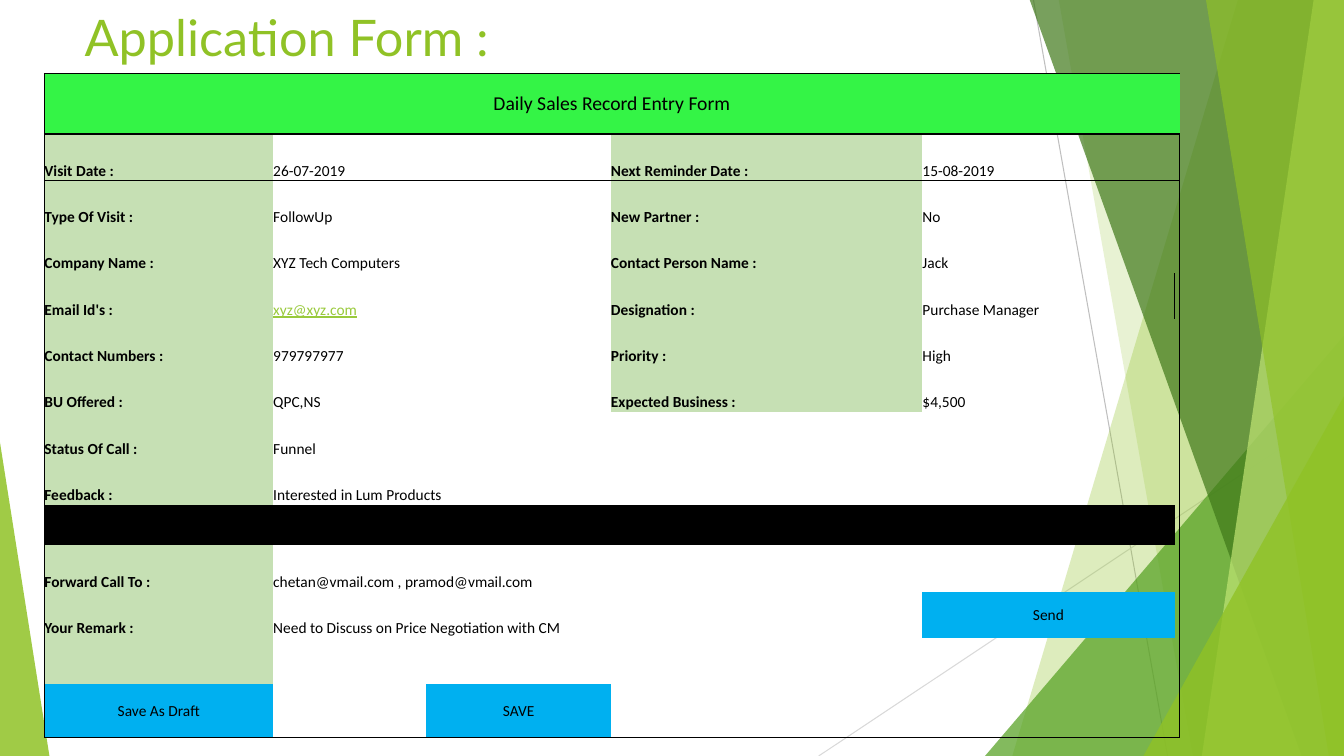
from lxml import etree
from pptx import Presentation
from pptx.dml import color
from pptx.enum import shapes, text
from pptx.oxml import ns
from pptx.util import Inches, Pt

LIME, LABEL_GREEN, BUTTON_BLUE = "90C226", "C6E0B4", "00B0F0"
HEADER_GREEN, BLACK, LINK_GREEN = "34F446", "000000", "99CA3C"
NO_GRID_STYLE = "{2D5ABB26-0587-4C30-8999-92F81FD0307C}"

BACKDROP_LINES = [
    (10.25, 0, 11.58, 7.5, "BFBFBF"),
    (13.33, 4.03, 8.12, 7.5, "D9D9D9"),
]
BACKDROP_SHAPES = [
    ("facet", (12.28, 10.04), LIME, 30),
    ("facet", (10.5, 11.83), LIME, 20),
    ("triangle", (9.77, 3.33, 3.56, 4.17, 1), "54A021", 72),
    ("facet", (10.21, 12.91), "3F7819", 70),
    ("facet", (13.03, 11.92), "C0E474", 70),
    ("facet", (11.96, 13.18), LIME, 65),
    ("triangle", (11.34, 3.93, 1.99, 3.57, 1), LIME, 80),
    ("triangle", (0, 4.39, 0.49, 3.11, 0), LIME, 85),
]

COLUMN_WIDTHS = [2.27, 1.52, 1.83, 3.09, 2.5, 0.05]
ROW_HEIGHTS = [0.6] + [0.46] * 8 + [0.4] + [0.46] * 3 + [0.53]
DIVIDER_ROW, EMAIL_ROW, LAST_ROW, LAST_COLUMN = 9, 4, 13, 5
MERGES = [(0, 0, 5), (3, 1, 2), (4, 1, 2), (8, 1, 2), (10, 1, 3), (11, 1, 3)]
LEFT_FIELDS = {
    1: ("Visit Date :", "26-07-2019"),
    2: ("Type Of Visit :", "FollowUp"),
    3: ("Company Name :", "XYZ Tech Computers"),
    4: ("Email Id's :", "xyz@xyz.com"),
    5: ("Contact Numbers :", "979797977"),
    6: ("BU Offered :", "QPC,NS"),
    7: ("Status Of Call :", "Funnel"),
    8: ("Feedback :", "Interested in Lum Products"),
    10: ("Forward Call To :", "chetan@vmail.com , pramod@vmail.com"),
    11: ("Your Remark :", "Need to Discuss on Price Negotiation with CM"),
    12: ("", ""),
}
RIGHT_FIELDS = {
    1: ("Next Reminder Date :", "15-08-2019"),
    2: ("New Partner :", "No"),
    3: ("Contact Person Name :", "Jack"),
    4: ("Designation :", "Purchase Manager"),
    5: ("Priority :", "High"),
    6: ("Expected Business :", "$4,500"),
}
BUTTONS = [(11, 4, "Send"), (13, 0, "Save As Draft"), (13, 2, "SAVE")]


def paint(target, hex_color):
    target.rgb = color.RGBColor.from_string(hex_color)


def fill_shape(shape, hex_color, opacity):
    shape.shadow.inherit = False
    shape.line.fill.background()
    shape.fill.solid()
    paint(shape.fill.fore_color, hex_color)
    tint = shape.fill._xPr.find(".//" + ns.qn("a:srgbClr"))
    etree.SubElement(tint, ns.qn("a:alpha"), val=str(opacity * 1000))


def add_line(page, left, top, right, bottom, hex_color):
    line = page.shapes.add_connector(
        shapes.MSO_CONNECTOR.STRAIGHT,
        Inches(left), Inches(top), Inches(right), Inches(bottom))
    line.line.width = Pt(0.75)
    paint(line.line.color, hex_color)
    etree.SubElement(line._element.spPr, ns.qn("a:effectLst"))


def add_facet(page, top_left, bottom_left):
    corners = [(13.33, -0.01), (13.33, 7.5), (bottom_left, 7.5)]
    builder = page.shapes.build_freeform(Inches(top_left), Inches(-0.01))
    builder.add_line_segments([(Inches(x), Inches(y)) for x, y in corners])
    return builder.convert_to_shape()


def add_triangle(page, left, top, width, height, apex):
    triangle = page.shapes.add_shape(
        shapes.MSO_SHAPE.ISOSCELES_TRIANGLE,
        Inches(left), Inches(top), Inches(width), Inches(height))
    triangle.adjustments[0] = apex
    return triangle


def add_backdrop(page):
    for line in BACKDROP_LINES:
        add_line(page, *line)
    makers = {"facet": add_facet, "triangle": add_triangle}
    for kind, geometry, hex_color, opacity in BACKDROP_SHAPES:
        fill_shape(makers[kind](page, *geometry), hex_color, opacity)


def format_run(para, font_name, size, hex_color, bold=False):
    for span in para.runs:
        span.font.name = font_name
        span.font.size = Pt(size)
        span.font.bold = bold
        paint(span.font.color, hex_color)


def set_title(page, wording):
    title = page.shapes.title
    title.left, title.top = Inches(0.74), Inches(0)
    title.width, title.height = Inches(9.4), Inches(0.73)
    frame = title.text_frame
    frame.text = wording
    frame.vertical_anchor = text.MSO_ANCHOR.MIDDLE
    frame.paragraphs[0].alignment = text.PP_ALIGN.LEFT
    format_run(frame.paragraphs[0], "Lato", 36, LIME)


def border_sides(row, column):
    sides = {
        "L": column == 0 and row != DIVIDER_ROW
        or (row, column) == (EMAIL_ROW, LAST_COLUMN),
        "R": column == LAST_COLUMN or (row, column) == (EMAIL_ROW, 4),
        "T": row in (0, 1),
        "B": row in (0, LAST_ROW),
    }
    return [side for side, drawn in sides.items() if drawn]


def add_borders(cell, sides):
    properties = cell._tc.get_or_add_tcPr()
    for side in sides:
        edge = etree.SubElement(properties, ns.qn("a:ln" + side), w=str(Pt(1)))
        fill = etree.SubElement(edge, ns.qn("a:solidFill"))
        etree.SubElement(fill, ns.qn("a:srgbClr"), val=BLACK)


def fill_cell(cell, hex_color):
    cell.fill.solid()
    paint(cell.fill.fore_color, hex_color)


def write_cell(cell, wording, size=11, bold=False, centered=False):
    cell.text_frame.text = wording
    para = cell.text_frame.paragraphs[0]
    format_run(para, "Calibri", size, BLACK, bold)
    cell.vertical_anchor = text.MSO_ANCHOR.BOTTOM
    if centered:
        cell.vertical_anchor = text.MSO_ANCHOR.MIDDLE
        para.alignment = text.PP_ALIGN.CENTER


def add_grid(page):
    frame = page.shapes.add_table(
        len(ROW_HEIGHTS), len(COLUMN_WIDTHS), Inches(0.44), Inches(0.73),
        Inches(sum(COLUMN_WIDTHS)), Inches(sum(ROW_HEIGHTS)))
    table = frame.table
    table.first_row = table.horz_banding = False
    table._tbl.tblPr.find(ns.qn("a:tableStyleId")).text = NO_GRID_STYLE
    for column, width in zip(table.columns, COLUMN_WIDTHS):
        column.width = Inches(width)
    for row, height in zip(table.rows, ROW_HEIGHTS):
        row.height = Inches(height)
    for row in range(len(ROW_HEIGHTS)):
        for column in range(len(COLUMN_WIDTHS)):
            cell = table.cell(row, column)
            cell.margin_left = cell.margin_right = Inches(0)
            cell.margin_top = cell.margin_bottom = Inches(0)
            add_borders(cell, border_sides(row, column))
            cell.fill.background()
    for row, first, last in MERGES:
        table.cell(row, first).merge(table.cell(row, last))
    return table


def add_form(page):
    table = add_grid(page)
    header = table.cell(0, 0)
    fill_cell(header, HEADER_GREEN)
    write_cell(header, "Daily Sales Record Entry Form", size=14, centered=True)
    for fields, column in ((LEFT_FIELDS, 0), (RIGHT_FIELDS, 3)):
        for row, (label, value) in fields.items():
            fill_cell(table.cell(row, column), LABEL_GREEN)
            write_cell(table.cell(row, column), label, bold=True)
            write_cell(table.cell(row, column + 1), value)
    email = table.cell(EMAIL_ROW, 1).text_frame.paragraphs[0].runs[0]
    email.font.underline = True
    paint(email.font.color, LINK_GREEN)
    for column in range(LAST_COLUMN):
        fill_cell(table.cell(DIVIDER_ROW, column), BLACK)
    for row, column, wording in BUTTONS:
        fill_cell(table.cell(row, column), BUTTON_BLUE)
        write_cell(table.cell(row, column), wording, centered=True)


def main():
    deck = Presentation()
    deck.slide_width, deck.slide_height = Inches(13.33), Inches(7.5)
    page = deck.slides.add_slide(deck.slide_layouts[5])
    add_backdrop(page)
    set_title(page, "Application Form :")
    add_form(page)
    deck.save("out.pptx")


if __name__ == "__main__":
    main()
